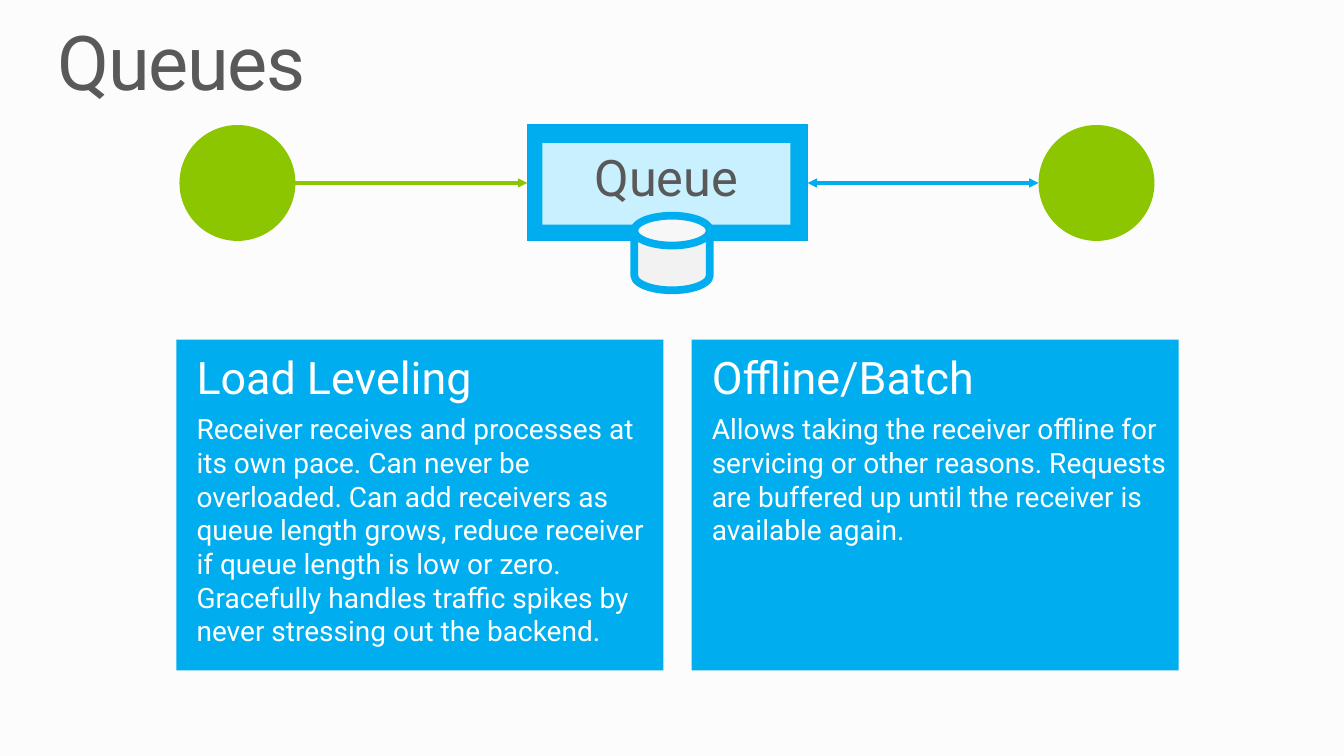
from dataclasses import dataclass

from lxml.etree import SubElement
from pptx import Presentation
from pptx.dml.color import RGBColor
from pptx.enum.shapes import MSO_CONNECTOR, MSO_SHAPE
from pptx.enum.text import MSO_ANCHOR, MSO_AUTO_SIZE, PP_ALIGN
from pptx.oxml.ns import qn
from pptx.shapes.autoshape import Shape
from pptx.shapes.connector import Connector
from pptx.slide import Slide
from pptx.text.text import TextFrame, _Paragraph
from pptx.util import Inches, Pt

FONT = "Roboto"
PAPER = RGBColor(0xFC, 0xFC, 0xFC)
WHITE = RGBColor(0xFF, 0xFF, 0xFF)
GRAY = RGBColor(0x59, 0x59, 0x59)
BLUE = RGBColor(0x00, 0xAE, 0xEF)
EDGE = RGBColor(0x00, 0xAA, 0xEA)
PALE = RGBColor(0xC9, 0xF0, 0xFF)
GREEN = RGBColor(0x8C, 0xC6, 0x00)
SILVER = RGBColor(0xF2, 0xF2, 0xF2)

ROW_TOP, ROW_SIZE = 1.24, 1.15
ROW_MID = ROW_TOP + ROW_SIZE / 2
SEND_LEFT, TAKE_LEFT = 1.78, 10.3
CARD_LEFT, CARD_STEP = 1.75, 5.11


@dataclass
class Box:
    left: float
    top: float
    width: float
    height: float


@dataclass
class Card:
    head: str
    body: str


CARDS = [
    Card("Load Leveling",
         "Receiver receives and processes at its own pace. Can never be "
         "overloaded. Can add receivers as queue length grows, reduce receiver "
         "if queue length is low or zero. Gracefully handles traffic spikes by "
         "never stressing out the backend."),
    Card("Offline/Batch",
         "Allows taking the receiver offline for servicing or other reasons. "
         "Requests are buffered up until the receiver is available again."),
]


def add_box(slide: Slide, kind: MSO_SHAPE, box: Box, fill: RGBColor,
            line: RGBColor | None = None, weight: float = 0.75) -> Shape:
    shape = slide.shapes.add_shape(kind, Inches(box.left), Inches(box.top),
                                   Inches(box.width), Inches(box.height))
    shape.shadow.inherit = False
    shape.fill.solid()
    shape.fill.fore_color.rgb = fill
    if line is None:
        shape.line.fill.background()
    else:
        shape.line.color.rgb = line
        shape.line.width = Pt(weight)
    return shape


def set_frame(frame: TextFrame, left: float, top: float, right: float,
              bottom: float, anchor: MSO_ANCHOR) -> None:
    frame.word_wrap = True
    frame.margin_left, frame.margin_top = Inches(left), Inches(top)
    frame.margin_right, frame.margin_bottom = Inches(right), Inches(bottom)
    frame.vertical_anchor = anchor


def style(para: _Paragraph, size: float, color: RGBColor,
          align: PP_ALIGN = PP_ALIGN.LEFT) -> None:
    para.alignment = align
    for run in para.runs:
        run.font.name = FONT
        run.font.size = Pt(size)
        run.font.color.rgb = color


def add_arrow(slide: Slide, start: float, end: float, color: RGBColor,
              *tips: str) -> Connector:
    arrow = slide.shapes.add_connector(
        MSO_CONNECTOR.STRAIGHT, Inches(start), Inches(ROW_MID),
        Inches(end), Inches(ROW_MID))
    arrow.line.color.rgb = color
    arrow.line.width = Pt(2.25)
    for tip in tips:
        SubElement(arrow.line._get_or_add_ln(), qn(f"a:{tip}"), type="triangle")
    SubElement(arrow._element.spPr, qn("a:effectLst"))
    return arrow


def add_title(slide: Slide) -> None:
    title = slide.shapes.title
    title.left, title.top = Inches(0.57), Inches(0.25)
    title.width, title.height = Inches(12.19), Inches(0.82)
    frame = title.text_frame
    frame.text = "Queues"
    set_frame(frame, 0, 0, 0, 0, MSO_ANCHOR.TOP)
    frame.auto_size = MSO_AUTO_SIZE.SHAPE_TO_FIT_TEXT
    para = frame.paragraphs[0]
    para.line_spacing = 0.9
    style(para, 54, GRAY)
    para.runs[0]._r.get_or_add_rPr().set("spc", "-100")


def add_card(slide: Slide, card: Card, left: float) -> None:
    shape = add_box(slide, MSO_SHAPE.RECTANGLE, Box(left, 3.37, 4.83, 3.28), BLUE)
    frame = shape.text_frame
    set_frame(frame, 0.2, 0.1, 0.1, 0, MSO_ANCHOR.TOP)
    frame.text = f"{card.head}\n{card.body}"
    head, body = frame.paragraphs
    head.space_after = Pt(6)
    style(head, 32, WHITE)
    style(body, 20, WHITE)


def add_flow(slide: Slide) -> None:
    # Queue frame and label
    queue = add_box(slide, MSO_SHAPE.RECTANGLE,
                    Box(5.23, ROW_TOP, 2.78, ROW_SIZE), BLUE, EDGE)
    label = add_box(slide, MSO_SHAPE.RECTANGLE, Box(5.38, 1.42, 2.46, 0.81), PALE)
    set_frame(label.text_frame, 0.1, 0.05, 0.1, 0.2, MSO_ANCHOR.MIDDLE)
    label.text_frame.text = "Queue"
    style(label.text_frame.paragraphs[0], 36, GRAY, PP_ALIGN.CENTER)

    # Sender and receiver
    for left in (SEND_LEFT, TAKE_LEFT):
        add_box(slide, MSO_SHAPE.OVAL, Box(left, ROW_TOP, ROW_SIZE, ROW_SIZE), GREEN)

    # Arrows joined to the queue
    send = add_arrow(slide, SEND_LEFT + ROW_SIZE, 5.23, GREEN, "tailEnd")
    send.end_connect(queue, 1)
    take = add_arrow(slide, 8.01, TAKE_LEFT, BLUE, "headEnd", "tailEnd")
    take.begin_connect(queue, 3)

    # Storage drum
    drum = add_box(slide, MSO_SHAPE.CAN, Box(6.29, 2.14, 0.75, 0.74),
                   SILVER, BLUE, 5.5)
    drum.adjustments[0] = 0.4


def main() -> None:
    deck = Presentation()
    deck.slide_width, deck.slide_height = Inches(13.33), Inches(7.5)
    slide = deck.slides.add_slide(deck.slide_layouts[5])
    slide.background.fill.solid()
    slide.background.fill.fore_color.rgb = PAPER
    add_title(slide)
    for index, card in enumerate(CARDS):
        add_card(slide, card, CARD_LEFT + index * CARD_STEP)
    add_flow(slide)
    deck.save("out.pptx")


if __name__ == "__main__":
    main()
